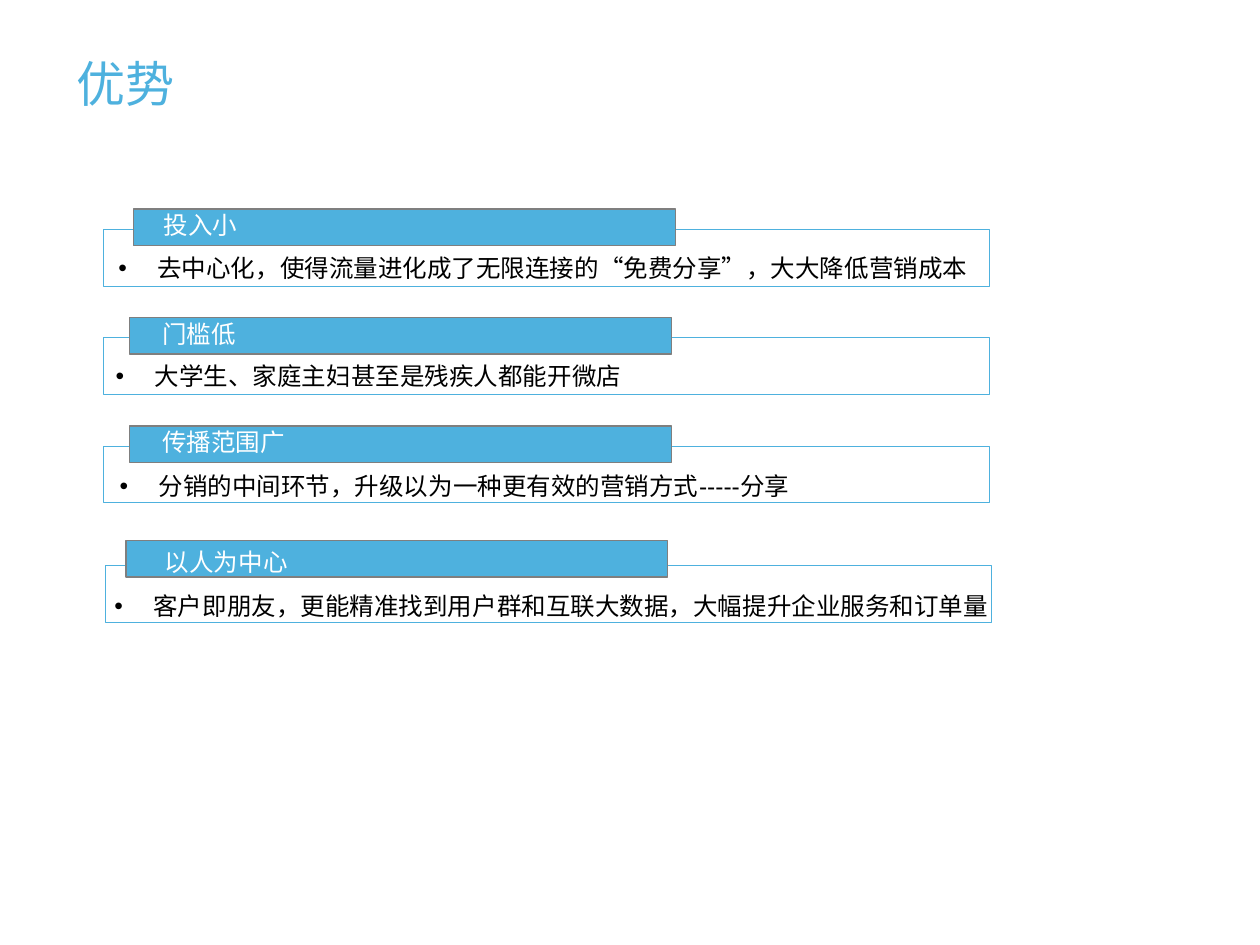
from lxml import etree
from pptx import Presentation
from pptx import util as u
from pptx.dml.color import RGBColor
from pptx.enum import shapes, text
from pptx.oxml.ns import qn

THEME = {
    "accent": RGBColor.from_string("4EB1DE"),
    "edge": RGBColor.from_string("7F7F7F"),
    "light": RGBColor.from_string("FFFFFF"),
    "ink": RGBColor.from_string("000000"),
    "latin": "Arial",
    "cjk": "Noto Sans CJK SC",
    "title_size": 28,
    "body_size": 14,
}

# Content
TITLE = "优势"
ADVANTAGES = [
    ("投入小", "去中心化，使得流量进化成了无限连接的“免费分享”，大大降低营销成本", THEME["cjk"]),
    ("门槛低", "大学生、家庭主妇甚至是残疾人都能开微店", THEME["cjk"]),
    ("传播范围广", "分销的中间环节，升级以为一种更有效的营销方式-----分享", THEME["latin"]),
    ("以人为中心", "客户即朋友，更能精准找到用户群和互联大数据，大幅提升企业服务和订单量", THEME["latin"]),
]

# Rows share one pitch; the last is set lower. Offsets are from the frame's corner.
FIRST_TOP, PITCH, LEFT = 1.82, 0.86, 0.82
FRAME_SIZE, BANNER_SIZE = (7.03, 0.45), (4.3, 0.29)
NUDGES = [  # frame, banner, heading, detail, detail width
    ((0, 0), (0.24, -0.16), (0.38, -0.2), (0.02, 0.14), 7.01),
    ((0, 0), (0.21, -0.16), (0.37, -0.2), (0, 0.14), 7.01),
    ((0, 0), (0.21, -0.16), (0.37, -0.2), (0.03, 0.15), 7.01),
    ((0.02, 0.09), (0.16, -0.2), (0.37, -0.2), (-0.03, 0.15), 7.23),
]

prs = Presentation()
prs.slide_width, prs.slide_height = u.Inches(10), u.Inches(7.5)
slide = prs.slides.add_slide(prs.slide_layouts[6])


def add_box(corner, size, line, width, fill=None):
    box = slide.shapes.add_shape(
        shapes.MSO_SHAPE.RECTANGLE, *(u.Inches(v) for v in (*corner, *size)))
    box.shadow.inherit = False
    box.line.color.rgb, box.line.width = line, u.Pt(width)
    if fill is None:
        box.fill.background()
    else:
        box.fill.solid()
        box.fill.fore_color.rgb = fill


def add_label(words, corner, size, color, points, font=THEME["latin"],
              bullet=False, anchor=text.MSO_ANCHOR.TOP):
    frame = slide.shapes.add_textbox(
        *(u.Inches(v) for v in (*corner, *size))).text_frame
    frame.word_wrap, frame.vertical_anchor = True, anchor
    line = frame.paragraphs[0]
    line.text = words
    if bullet:
        props = line._p.get_or_add_pPr()
        indent = u.Inches(0.31)
        props.set("marL", str(indent))
        props.set("indent", str(-indent))
        etree.SubElement(props, qn("a:buFont"), typeface=THEME["latin"])
        etree.SubElement(props, qn("a:buChar"), char="•")
    line.font.name, line.font.size = font, u.Pt(points)
    line.font.color.rgb = color


# Title
add_label(TITLE, (0.51, 0.27), (8.99, 0.78), THEME["accent"],
          THEME["title_size"], anchor=text.MSO_ANCHOR.MIDDLE)

# Advantages: frame, banner, heading and detail
for row, ((heading, detail, font), nudges) in enumerate(zip(ADVANTAGES, NUDGES)):
    shift, banner_at, heading_at, detail_at, detail_width = nudges
    left, top = LEFT + shift[0], FIRST_TOP + row * PITCH + shift[1]

    def place(offset):
        return left + offset[0], top + offset[1]

    add_box((left, top), FRAME_SIZE, THEME["accent"], 0.5)
    add_box(place(banner_at), BANNER_SIZE, THEME["edge"], 0.75, THEME["accent"])
    heading_width = 0.98 if len(heading) == 3 else 1.21
    add_label(heading, place(heading_at), (heading_width, 0.34),
              THEME["light"], THEME["body_size"])
    add_label(detail, place(detail_at), (detail_width, 0.34),
              THEME["ink"], THEME["body_size"], font, bullet=True)

prs.save("out.pptx")
